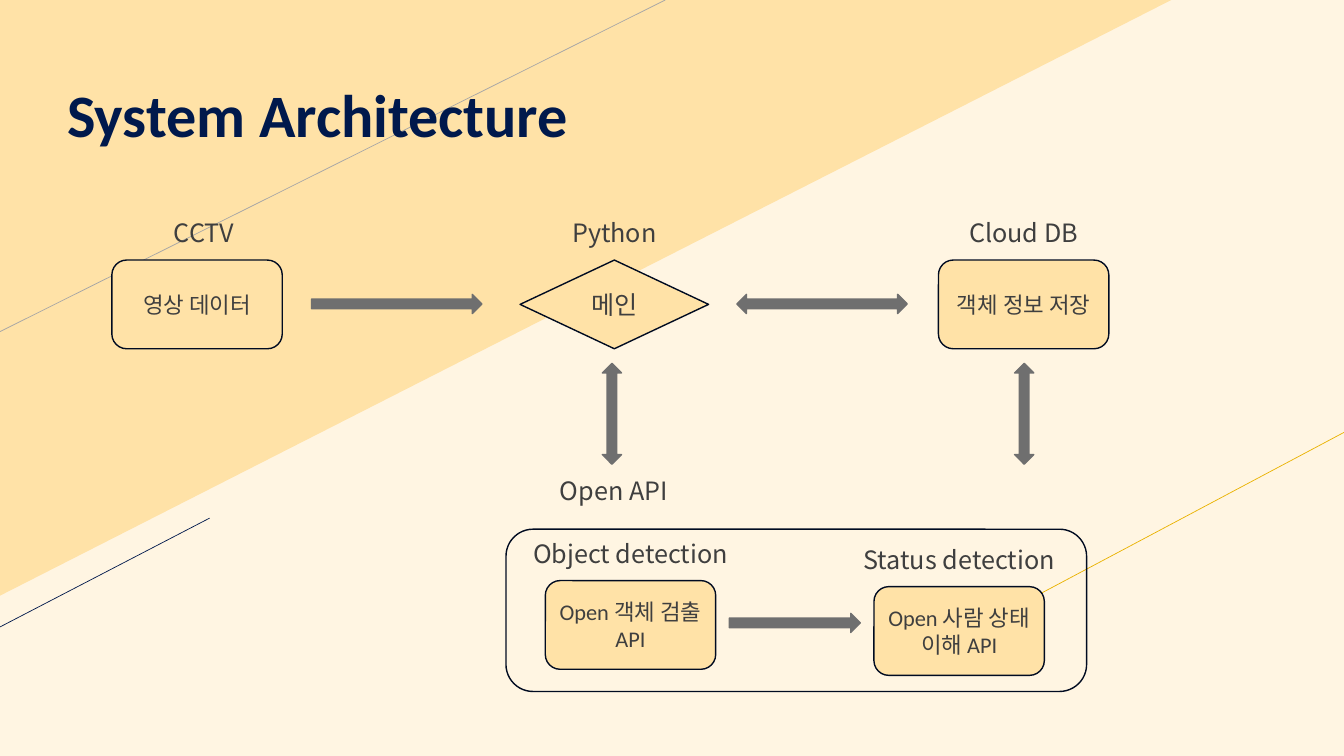
from dataclasses import dataclass

from lxml.etree import SubElement
from pptx import Presentation
from pptx.dml.color import RGBColor
from pptx.enum.shapes import MSO_CONNECTOR, MSO_SHAPE
from pptx.enum.text import MSO_ANCHOR, PP_ALIGN
from pptx.oxml.ns import qn
from pptx.util import Inches, Pt

CELL = Inches(0.1)
COLUMNS, ROWS = 133.33, 75


@dataclass(frozen=True)
class Theme:
    background: str = "FFF5E2"
    panel: str = "FFE2A7"
    navy: str = "00194C"
    outline: str = "000B21"
    arrow: str = "6F6F6F"
    text: str = "3F3F3F"
    gray: str = "A6A6A6"
    gold: str = "EAB200"
    latin: str = "Calibri"
    korean: str = "Noto Sans CJK KR"
    title_size: int = 43
    label_size: int = 18
    node_size: int = 16
    hairline: float = 0.5
    border: float = 1


@dataclass(frozen=True)
class Box:
    column: float
    row: float
    columns: float
    rows: float

    def within(self, column, row, columns, rows):
        return Box(self.column + column, self.row + row, columns, rows)

    def place(self):
        return [round(length * CELL) for length in (self.column, self.row, self.columns, self.rows)]


THEME = Theme()


def color(value):
    return RGBColor.from_string(value)


def write(shape, text, size=THEME.label_size, font=THEME.latin, ink=THEME.text,
          bold=False, align=PP_ALIGN.CENTER, anchor=MSO_ANCHOR.MIDDLE, spacing=None):
    frame = shape.text_frame
    frame.word_wrap = True
    frame.vertical_anchor = anchor
    paragraph = frame.paragraphs[0]
    paragraph.alignment = align
    if spacing:
        paragraph.line_spacing = spacing
    run = paragraph.add_run()
    run.text = text
    run.font.name = font
    run.font.size = Pt(size)
    run.font.bold = bold
    run.font.color.rgb = color(ink)
    SubElement(run._r.get_or_add_rPr(), qn("a:ea"), typeface=THEME.korean)
    return frame


def add_figure(slide, kind, box, fill=None, line=None):
    shape = slide.shapes.add_shape(kind, *box.place())
    shape.shadow.inherit = False
    if fill:
        shape.fill.solid()
        shape.fill.fore_color.rgb = color(fill)
    else:
        shape.fill.background()
    if line:
        shape.line.color.rgb = color(line)
        shape.line.width = Pt(THEME.border)
    else:
        shape.line.fill.background()
    return shape


def add_arrow(slide, kind, box):
    add_figure(slide, kind, box, THEME.arrow, THEME.arrow)


def add_label(slide, box, text):
    write(slide.shapes.add_textbox(*box.place()), text,
          font=THEME.korean, anchor=MSO_ANCHOR.TOP)


def add_node(slide, box, label, text, kind=MSO_SHAPE.ROUNDED_RECTANGLE,
             size=THEME.node_size, label_shift=0):
    write(add_figure(slide, kind, box, THEME.panel, THEME.outline), text, size=size)
    add_label(slide, box.within(box.columns / 2 - 13.7 + label_shift, -4.7, 27.4, 4), label)


def add_backdrop(slide, box):
    slide.background.fill.solid()
    slide.background.fill.fore_color.rgb = color(THEME.background)
    triangle = add_figure(slide, MSO_SHAPE.RIGHT_TRIANGLE, box.within(0, 0, 116.2, 59.1), THEME.panel)
    triangle._element.spPr.xfrm.set("flipV", "1")
    strokes = [
        (0, 32.9, 66, 0, THEME.gray),
        (98.5, 61.4, box.columns, 42.9, THEME.gold),
        (0, 62.2, 20.8, 51.4, THEME.navy),
    ]
    for *ends, ink in strokes:
        stroke = slide.shapes.add_connector(
            MSO_CONNECTOR.STRAIGHT, *[round(length * CELL) for length in ends])
        stroke.line.color.rgb = color(ink)
        stroke.line.width = Pt(THEME.hairline)
        SubElement(stroke._element.spPr, qn("a:effectLst"))


def add_title(slide, box):
    frame = write(slide.shapes.add_textbox(*box.place()), "System Architecture",
                  size=THEME.title_size, ink=THEME.navy, bold=True,
                  align=PP_ALIGN.LEFT, anchor=MSO_ANCHOR.BOTTOM, spacing=0.9)
    frame.margin_bottom = 0


def add_pipeline(slide, box):
    add_node(slide, box.within(0, 0, 16.9, 8.8), "CCTV", "영상 데이터", label_shift=0.7)
    add_node(slide, box.within(40.5, 0, 18.7, 8.8), "Python", "메인",
             kind=MSO_SHAPE.DIAMOND, size=THEME.label_size)
    add_node(slide, box.within(82, 0, 16.9, 8.8), "Cloud DB", "객체 정보 저장")
    add_arrow(slide, MSO_SHAPE.RIGHT_ARROW, box.within(19.8, 3.4, 16.9, 1.9))
    add_arrow(slide, MSO_SHAPE.LEFT_RIGHT_ARROW, box.within(62, 3.4, 16.9, 1.9))
    for column in (48.65, 89.55):
        add_arrow(slide, MSO_SHAPE.UP_DOWN_ARROW, box.within(column, 10.25, 1.9, 10))
    add_label(slide, box.within(36.1, 20.9, 27.4, 4), "Open API")


def add_detection(slide, box):
    add_figure(slide, MSO_SHAPE.ROUNDED_RECTANGLE, box, line=THEME.outline)
    add_node(slide, box.within(3.9, 5.1, 16.9, 8.8), "Object detection", "Open 객체 검출 API")
    add_node(slide, box.within(36.5, 5.7, 16.9, 8.8), "Status detection", "Open 사람 상태 이해 API")
    add_arrow(slide, MSO_SHAPE.RIGHT_ARROW, box.within(22.15, 8.35, 13, 1.9))


def main():
    presentation = Presentation()
    presentation.slide_width = round(COLUMNS * CELL)
    presentation.slide_height = ROWS * CELL
    slide = presentation.slides.add_slide(presentation.slide_layouts[6])
    page = Box(0, 0, COLUMNS, ROWS)
    add_backdrop(slide, page)
    add_title(slide, page.within(5.7, 2.3, 90.6, 12.6))
    add_pipeline(slide, page.within(11.1, 25.8, 98.9, 24.9))
    add_detection(slide, page.within(50.2, 52.5, 57.6, 16.1))
    presentation.save("out.pptx")


if __name__ == "__main__":
    main()
